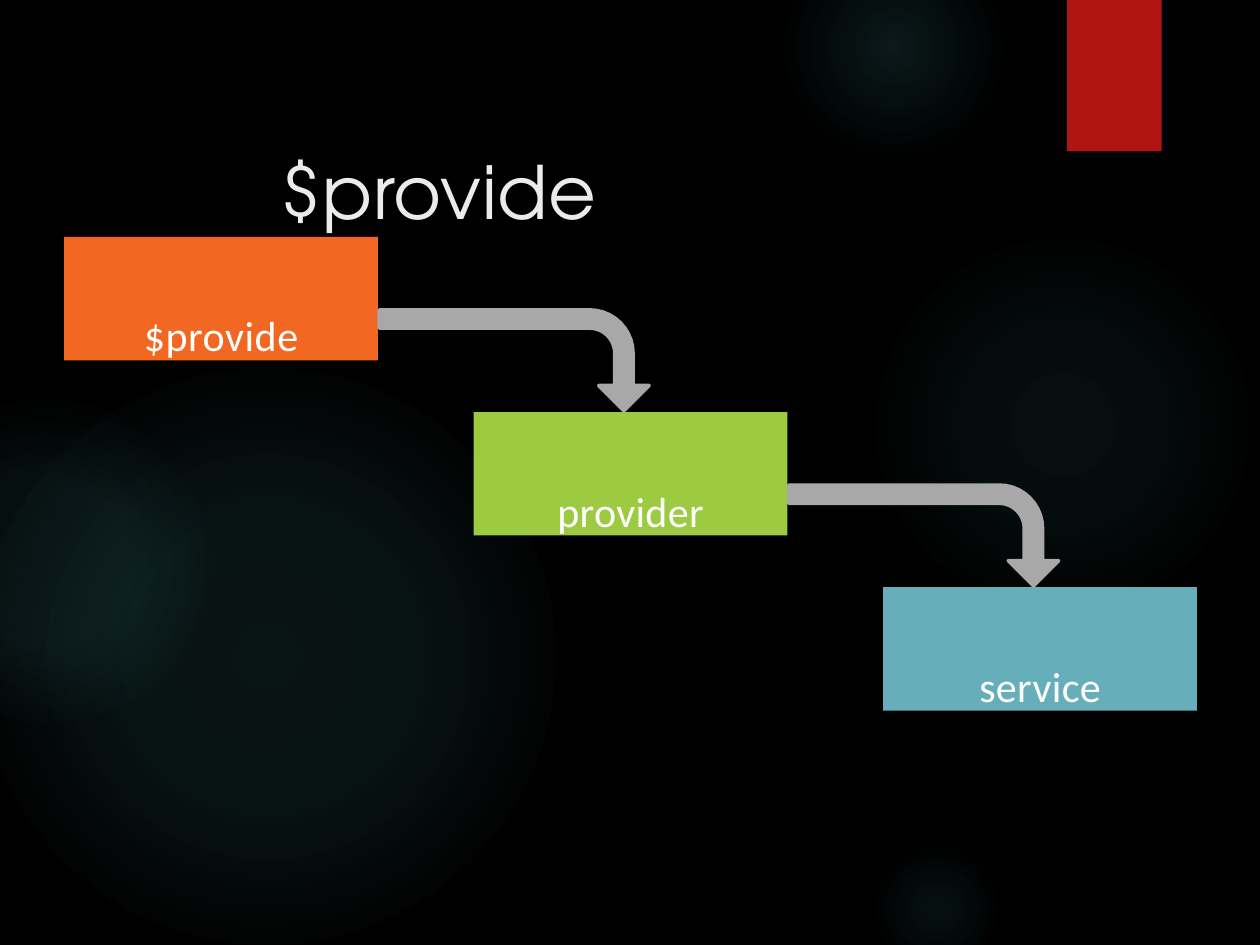
import math
from dataclasses import dataclass

import pptx
import pptx.dml.color
import pptx.enum.shapes
import pptx.enum.text
import pptx.oxml
import pptx.oxml.ns
import pptx.util

COLUMNS, ROWS = 100, 75
CELL = pptx.util.Inches(0.1)


@dataclass(frozen=True)
class Theme:
    backdrop: str = "000000"
    glow: str = "50B9C1"
    ribbon: str = "B01513"
    arrow: str = "A7A8A7"
    title_text: str = "EBEBEB"
    step_text: str = "FFFFFF"
    title_font: str = "TeX Gyre Adventor"
    step_font: str = "Calibri"
    title_size: int = 42
    step_size: int = 24
    arrow_outline: float = 2.04


@dataclass(frozen=True)
class Bubble:
    column: float
    row: float
    diameter: float
    stops: tuple[tuple[int, int], ...]


@dataclass(frozen=True)
class Step:
    label: str
    color: str
    tracking: int


THEME = Theme()
BUBBLES = (
    Bubble(68.9, 18.3, 30.8, ((0, 7), (36, 6), (69, 0))),
    Bubble(62.2, -5, 17.5, ((0, 14), (36, 7), (73, 0))),
    Bubble(68.9, 66.7, 10.8, ((0, 9), (36, 5), (66, 0))),
    Bubble(-1.7, 29.2, 45.8, ((0, 11), (36, 10), (75, 0))),
    Bubble(-9.2, 31.7, 25.8, ((0, 8), (36, 8), (72, 0))),
)
STEPS = (
    Step("$provide", "F26722", 30),
    Step("provider", "9CCB42", 20),
    Step("service", "66AEBA", 20),
)
FIRST_COLUMN, FIRST_ROW = 5.1, 18.8
STEP_WIDTH, STEP_HEIGHT = 24.9, 9.8
STEP_RIGHT, STEP_DOWN = 32.5, 13.9


def cells(count: float) -> pptx.util.Emu:
    return pptx.util.Emu(round(count * CELL))


def rgb(color: str) -> pptx.dml.color.RGBColor:
    return pptx.dml.color.RGBColor.from_string(color)


def add_block(slide, kind, column: float, row: float, width: float, height: float, color: str):
    block = slide.shapes.add_shape(kind, *map(cells, (column, row, width, height)))
    block.shadow.inherit = False
    block.fill.solid()
    block.fill.fore_color.rgb = rgb(color)
    block.line.fill.background()
    return block


def write(shape, text: str, font: str, size: float, color: str, tracking: int):
    frame = shape.text_frame
    frame.margin_left = frame.margin_right = frame.margin_top = frame.margin_bottom = 0
    frame.word_wrap = True
    paragraph = frame.paragraphs[0]
    run = paragraph.add_run()
    run.text = text
    run.font.name = font
    run.font.size = pptx.util.Pt(size)
    run.font.color.rgb = rgb(color)
    run.font._element.set("spc", str(tracking))
    return paragraph


def add_bubble(slide, bubble: Bubble) -> None:
    circle = add_block(slide, pptx.enum.shapes.MSO_SHAPE.OVAL, bubble.column, bubble.row,
                       bubble.diameter, bubble.diameter, THEME.glow)
    stops = "".join(
        f'<a:gs pos="{position * 1000}"><a:srgbClr val="{THEME.glow}">'
        f'<a:alpha val="{opacity * 1000}"/></a:srgbClr></a:gs>'
        for position, opacity in bubble.stops
    )
    gradient = pptx.oxml.parse_xml(
        f'<a:gradFill {pptx.oxml.ns.nsdecls("a")} rotWithShape="1"><a:gsLst>{stops}</a:gsLst>'
        '<a:path path="circle"><a:fillToRect l="50000" t="50000" r="50000" b="50000"/></a:path>'
        '</a:gradFill>'
    )
    properties = circle._element.spPr
    properties.replace(properties.find(pptx.oxml.ns.qn("a:solidFill")), gradient)


def add_title(slide, text: str) -> None:
    title = slide.shapes.title
    title.left, title.top, title.width, title.height = map(cells, (3.8, 11.6, 67.5, 3))
    paragraph = write(title, text, THEME.title_font, THEME.title_size, THEME.title_text, 40)
    title.text_frame.vertical_anchor = pptx.enum.text.MSO_ANCHOR.TOP
    title.text_frame.auto_size = pptx.enum.text.MSO_AUTO_SIZE.SHAPE_TO_FIT_TEXT
    paragraph.alignment = pptx.enum.text.PP_ALIGN.LEFT
    indent = paragraph._p.get_or_add_pPr()
    indent.set("marL", str(cells(18.5)))
    indent.set("indent", "0")


def add_step(slide, step: Step, column: float, row: float) -> None:
    box = add_block(slide, pptx.enum.shapes.MSO_SHAPE.RECTANGLE, column, row,
                    STEP_WIDTH, STEP_HEIGHT, step.color)
    paragraph = write(box, step.label, THEME.step_font, THEME.step_size,
                      THEME.step_text, step.tracking)
    paragraph.alignment = pptx.enum.text.PP_ALIGN.CENTER
    box.text_frame.vertical_anchor = pptx.enum.text.MSO_ANCHOR.BOTTOM


def add_bent_arrow(slide, column: float, row: float) -> None:
    bend, outer, inner = 16.7, 3.45, 2
    head_row, tip_row, head_half = 6, 8, 2
    tip_column = bend + (outer + inner) / 2

    def arc(radius: float) -> list[tuple[float, float]]:
        angles = [math.radians(degrees) for degrees in range(0, 91, 9)]
        return [(bend + radius * math.sin(angle), outer - radius * math.cos(angle))
                for angle in angles]

    outline = [
        (0, 0), *arc(outer), (bend + outer, head_row), (tip_column + head_half, head_row),
        (tip_column, tip_row), (tip_column - head_half, head_row),
        (bend + inner, head_row), *reversed(arc(inner)), (0, outer - inner),
    ]
    points = [(cells(column + x), cells(row + y)) for x, y in outline]
    builder = slide.shapes.build_freeform(*points[0])
    builder.add_line_segments(points[1:], close=True)
    arrow = builder.convert_to_shape()
    arrow.shadow.inherit = False
    arrow.fill.solid()
    arrow.fill.fore_color.rgb = rgb(THEME.arrow)
    arrow.line.color.rgb = rgb(THEME.arrow)
    arrow.line.width = pptx.util.Pt(THEME.arrow_outline)
    outline_properties = arrow._element.spPr.find(pptx.oxml.ns.qn("a:ln"))
    outline_properties.append(pptx.oxml.parse_xml(f'<a:round {pptx.oxml.ns.nsdecls("a")}/>'))


def main() -> None:
    deck = pptx.Presentation()
    deck.slide_width, deck.slide_height = cells(COLUMNS), cells(ROWS)
    slide = deck.slides.add_slide(deck.slide_layouts.get_by_name("Title Only"))
    slide.background.fill.solid()
    slide.background.fill.fore_color.rgb = rgb(THEME.backdrop)

    for bubble in BUBBLES:
        add_bubble(slide, bubble)
    add_block(slide, pptx.enum.shapes.MSO_SHAPE.RECTANGLE, 84.7, 0, 7.5, 12, THEME.ribbon)
    add_title(slide, "$provide")

    corners = [(FIRST_COLUMN + index * STEP_RIGHT, FIRST_ROW + index * STEP_DOWN)
               for index in range(len(STEPS))]
    for step, (column, row) in zip(STEPS, corners):
        add_step(slide, step, column, row)
    for column, row in corners[:-1]:
        add_bent_arrow(slide, column + STEP_WIDTH + 0.1, row + 5.8)

    deck.save("out.pptx")


if __name__ == "__main__":
    main()
